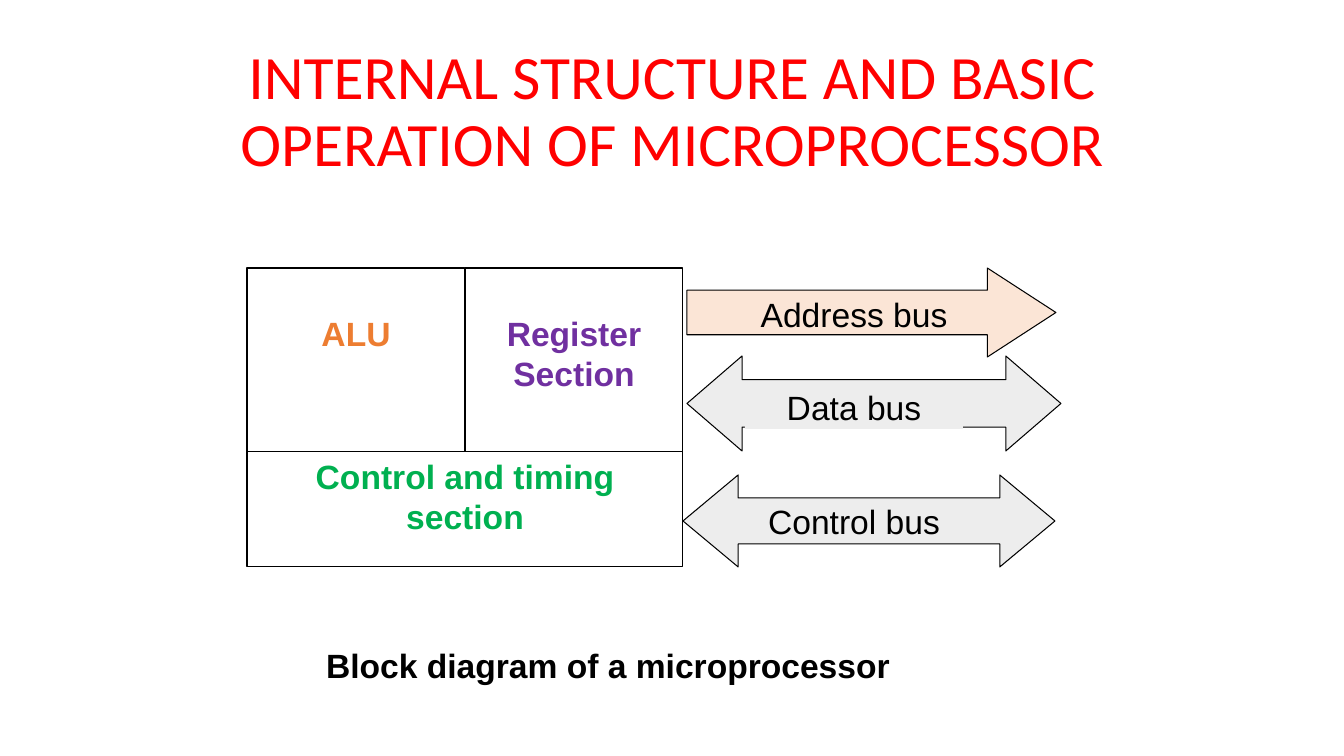
from pptx import Presentation
from pptx.dml.color import RGBColor
from pptx.enum.shapes import MSO_SHAPE
from pptx.enum.text import MSO_ANCHOR, PP_ALIGN
from pptx.util import Emu, Pt

PX = 914400 / 100.8
BLACK = "000000"
GREY = "EDEDED"


def px(length):
    return Emu(round(length * PX))


def color(value):
    return RGBColor.from_string(value)


def write(shape, text, font, insets=(9, 4, 9, 4), anchor=MSO_ANCHOR.TOP, spacing=None):
    """Fill a shape with one centred paragraph; insets run left, top, right, bottom."""
    frame = shape.text_frame
    frame.word_wrap = True
    frame.vertical_anchor = anchor
    for side, inset in zip(("left", "top", "right", "bottom"), insets):
        setattr(frame, f"margin_{side}", px(inset))
    para = frame.paragraphs[0]
    para.alignment = PP_ALIGN.CENTER
    para.line_spacing = spacing
    span = para.add_run()
    span.text = text
    settings = {"name": "Arial", "size": Pt(24), "bold": False, **font}
    span.font.color.rgb = color(settings.pop("color", BLACK))
    for name, value in settings.items():
        setattr(span.font, name, value)


def add_text(page, box, text, font, **layout):
    write(page.shapes.add_textbox(*map(px, box)), text, font, **layout)


def add_block(page, kind, box, fill, outlined=True):
    block = page.shapes.add_shape(kind, *map(px, box))
    block.shadow.inherit = False
    block.fill.solid()
    block.fill.fore_color.rgb = color(fill)
    if outlined:
        block.line.color.rgb = color(BLACK)
        block.line.width = Pt(0.75)
    else:
        block.line.fill.background()
    return block


def add_processor(page, box):
    left, top, width, height = box
    half, upper = width // 2, 184
    sections = (
        ("ALU", "ED7D31", (left, top, half, upper), 45),
        ("Register Section", "7030A0", (left + half, top, half, upper), 45),
        ("Control and timing section", "00B050",
         (left, top + upper, width, height - upper), 4),
    )
    for text, text_color, section_box, top_inset in sections:
        section = add_block(page, MSO_SHAPE.RECTANGLE, section_box, "FFFFFF")
        write(section, text, {"bold": True, "color": text_color},
              insets=(9, top_inset, 9, 4))


def add_buses(page, box):
    left, top, width, height = box
    both_ways = MSO_SHAPE.LEFT_RIGHT_ARROW
    arrows = (
        (MSO_SHAPE.RIGHT_ARROW, (left + 4, top, 369, 89), 0.77, "FBE5D6"),
        (both_ways, (left + 4, top + 88, width - 4, 95), 0.58, GREY),
        (both_ways, (left, top + height - 92, 372, 92), 0.6, GREY),
    )
    for kind, arrow_box, head, fill in arrows:
        arrow = add_block(page, kind, arrow_box, fill)
        arrow.adjustments[0] = 0.5
        arrow.adjustments[1] = head

    def label_box(offset):
        return left + 62, top + offset, 218, 46

    add_text(page, label_box(22), "Address bus", {})
    data_label = add_block(page, MSO_SHAPE.RECTANGLE, label_box(115), GREY, outlined=False)
    write(data_label, "Data bus", {})
    add_text(page, label_box(229), "Control bus", {})


def build_slide(deck):
    page = deck.slides.add_slide(deck.slide_layouts[6])
    add_text(page, (93, 40, 1159, 146),
             "INTERNAL STRUCTURE AND BASIC OPERATION OF MICROPROCESSOR",
             {"name": "Calibri", "size": Pt(44), "color": "FF0000"},
             insets=(10, 5, 10, 5), anchor=MSO_ANCHOR.MIDDLE, spacing=0.9)
    add_processor(page, (247, 268, 436, 299))
    add_buses(page, (683, 268, 378, 299))
    add_text(page, (275, 640, 666, 50), "Block diagram of a microprocessor",
             {"bold": True}, insets=(10, 5, 10, 5))


def main():
    deck = Presentation()
    deck.slide_width = px(1344)
    deck.slide_height = px(756)
    build_slide(deck)
    deck.save("out.pptx")


if __name__ == "__main__":
    main()
